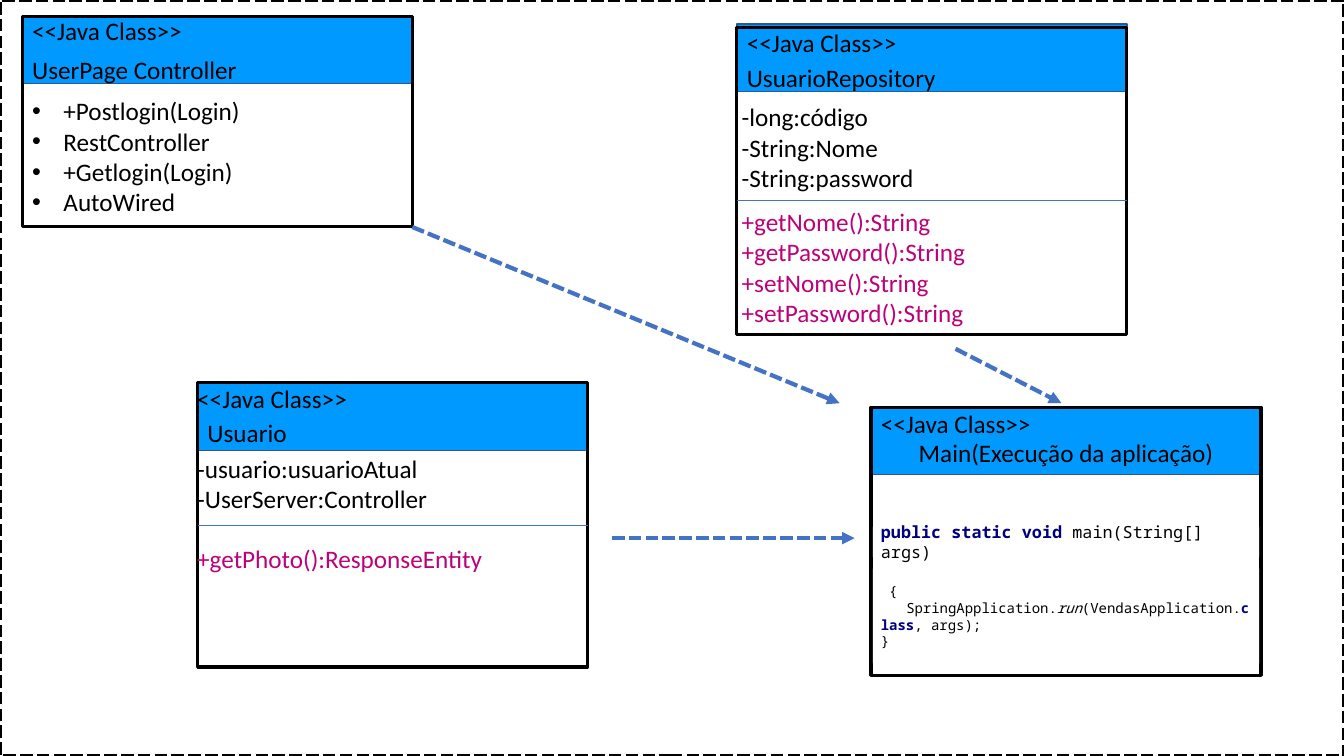
from lxml import etree
from pptx import Presentation
from pptx.dml.color import RGBColor
from pptx.enum.dml import MSO_LINE
from pptx.enum.shapes import MSO_CONNECTOR, MSO_SHAPE
from pptx.enum.text import MSO_ANCHOR, PP_ALIGN
from pptx.oxml.ns import qn
from pptx.util import Cm, Pt

RECT, STRAIGHT = MSO_SHAPE.RECTANGLE, MSO_CONNECTOR.STRAIGHT
DASH, MIDDLE = MSO_LINE.SQUARE_DOT, MSO_ANCHOR.MIDDLE
LEFT, CENTER = PP_ALIGN.LEFT, PP_ALIGN.CENTER
COLORS = {k: RGBColor.from_string(v) for k, v in {
    "header": "0099FF", "edge": "325491", "black": "000000", "white": "FFFFFF",
    "link": "4472C4", "method": "BC027A", "keyword": "000080"}.items()}
BOX_W, HEADER_H = 9.83, 1.7

prs = Presentation()
prs.slide_width, prs.slide_height = Cm(33.87), Cm(19.05)
s = prs.slides.add_slide(prs.slide_layouts[6])


def add_rect(x, y, w, h, fill=None, line=None, width=1):
    sp = s.shapes.add_shape(RECT, Cm(x), Cm(y), Cm(w), Cm(h))
    sp.shadow.inherit = False
    if fill:
        sp.fill.solid()
        sp.fill.fore_color.rgb = COLORS[fill]
    else:
        sp.fill.background()
    if line:
        sp.line.color.rgb = COLORS[line]
        sp.line.width = Pt(width)
    else:
        sp.line.fill.background()
    return sp


def add_line(x1, y1, x2, y2, width):
    c = s.shapes.add_connector(STRAIGHT, Cm(x1), Cm(y1), Cm(x2), Cm(y2))
    c.line.color.rgb = COLORS["link"]
    c.line.width = Pt(width)
    etree.SubElement(c.line._get_or_add_ln().getparent(), qn("a:effectLst"))
    return c


# Class boxes: left, header top, frame top, frame height
boxes = [
    (0.56, 0.41, 0.41, 5.31),    # UserPage Controller
    (18.57, 0.61, 0.69, 7.75),   # UsuarioRepository
    (4.98, 9.65, 9.65, 7.16),    # Usuario
    (21.95, 10.26, 10.26, 6.76),  # Main
]
for x, header_y, frame_y, frame_h in boxes:
    add_rect(x, header_y, BOX_W, HEADER_H, "header", "edge")
    add_rect(x, frame_y, BOX_W, frame_h, line="black", width=2.25)

# Class names and members: left, top, lines, format
stereotype = ["<<Java Class>>"]
bullets, methods, centered = {"bullet": True}, {"color": "method"}, {"align": CENTER}
texts = [
    (0.56, 0.25, stereotype, {}),
    (0.56, 1.24, ["UserPage Controller"], {}),
    (0.56, 2.29, ["+Postlogin(Login)", "RestController", "+Getlogin(Login)",
                  "AutoWired"], bullets),
    (18.57, 0.56, stereotype, {}),
    (18.57, 1.45, ["UsuarioRepository"], {}),
    (18.44, 2.44, ["-long:código", "-String:Nome", "-String:password"], {}),
    (18.44, 5.08, ["+getNome():String", "+getPassword():String",
                   "+setNome():String", "+setPassword():String"], methods),
    (4.72, 9.53, stereotype, {}),
    (4.98, 10.39, ["Usuario"], {}),
    (4.72, 11.3, ["-usuario:usuarioAtual", "-UserServer:Controller"], {}),
    (4.72, 13.56, ["+getPhoto():ResponseEntity"], methods),
    (21.95, 10.16, stereotype, {}),
    (21.95, 10.9, ["Main(Execução da aplicação)"], centered),
]
for x, y, lines, fmt in texts:
    height = 0.25 + 0.76 * len(lines)
    tf = s.shapes.add_textbox(Cm(x), Cm(y), Cm(BOX_W), Cm(height)).text_frame
    tf.word_wrap = True
    tf.text = "\n".join(lines)
    for p in tf.paragraphs:
        p.alignment = fmt.get("align", LEFT)
        p.font.name, p.font.size = "Calibri", Pt(18)
        p.font.color.rgb = COLORS[fmt.get("color", "black")]
        if "bullet" in fmt:
            pPr = p._p.get_or_add_pPr()
            pPr.set("marL", str(Cm(0.79)))
            pPr.set("indent", str(-Cm(0.79)))
            bullet_font = etree.Element(qn("a:buFont"), typeface="Arial")
            bullet_char = etree.Element(qn("a:buChar"), char="•")
            pPr.insert(0, bullet_font)
            pPr.insert(1, bullet_char)

# Dividers between attributes and methods
for x, y in [(18.57, 5.05), (4.98, 13.23)]:
    add_line(x, y, x + BOX_W, y, 0.5)

# Main code: top, height, size, paragraphs of (first-line indent, runs)
plain = {}
keyword = {"bold": True}
italic = {"italic": True}
code = [
    (13.28, 0.76, 12, [
        (0, [("public static void ", keyword), ("main(String[] args)", plain)])]),
    (14.33, 2.39, 10, [
        (0.21, [("{", plain)]),
        (0.64, [("SpringApplication.", plain), ("run", italic),
                ("(VendasApplication.", plain), ("class", keyword),
                (", args);", plain)]),
        (0, [("}", plain)])]),
]
main_x = boxes[-1][0]
for y, h, size, paragraphs in code:
    # Inset keeps the white block inside the black frame
    sp = add_rect(main_x + 0.05, y, BOX_W - 0.1, h, "white")
    tf = sp.text_frame
    tf.word_wrap, tf.vertical_anchor = True, MIDDLE
    tf.margin_left = tf.margin_right = Cm(0.2)
    for i, (indent, runs) in enumerate(paragraphs):
        p = tf.paragraphs[0] if i == 0 else tf.add_paragraph()
        p.alignment = LEFT
        p._p.get_or_add_pPr().set("indent", str(Cm(indent)))
        for text, fmt in runs:
            r = p.add_run()
            r.text = text
            r.font.name, r.font.size = "Noto Sans Mono", Pt(size)
            r.font.color.rgb = COLORS["keyword" if fmt is keyword else "black"]
            for name, value in fmt.items():
                setattr(r.font, name, value)

# Dashed border around the slide
border = add_rect(0, 0, 33.87, 19.05, line="black", width=3)
border.line.dash_style = DASH

# Dashed arrows towards Main
for ends in [(10.39, 5.72, 21.16, 10.16), (15.42, 13.56, 21.54, 13.56),
             (24.08, 8.79, 26.75, 10.16)]:
    arrow = add_line(*ends, 3)
    arrow.line.dash_style = DASH
    etree.SubElement(arrow.line._get_or_add_ln(), qn("a:tailEnd"), type="triangle")

prs.save("out.pptx")
